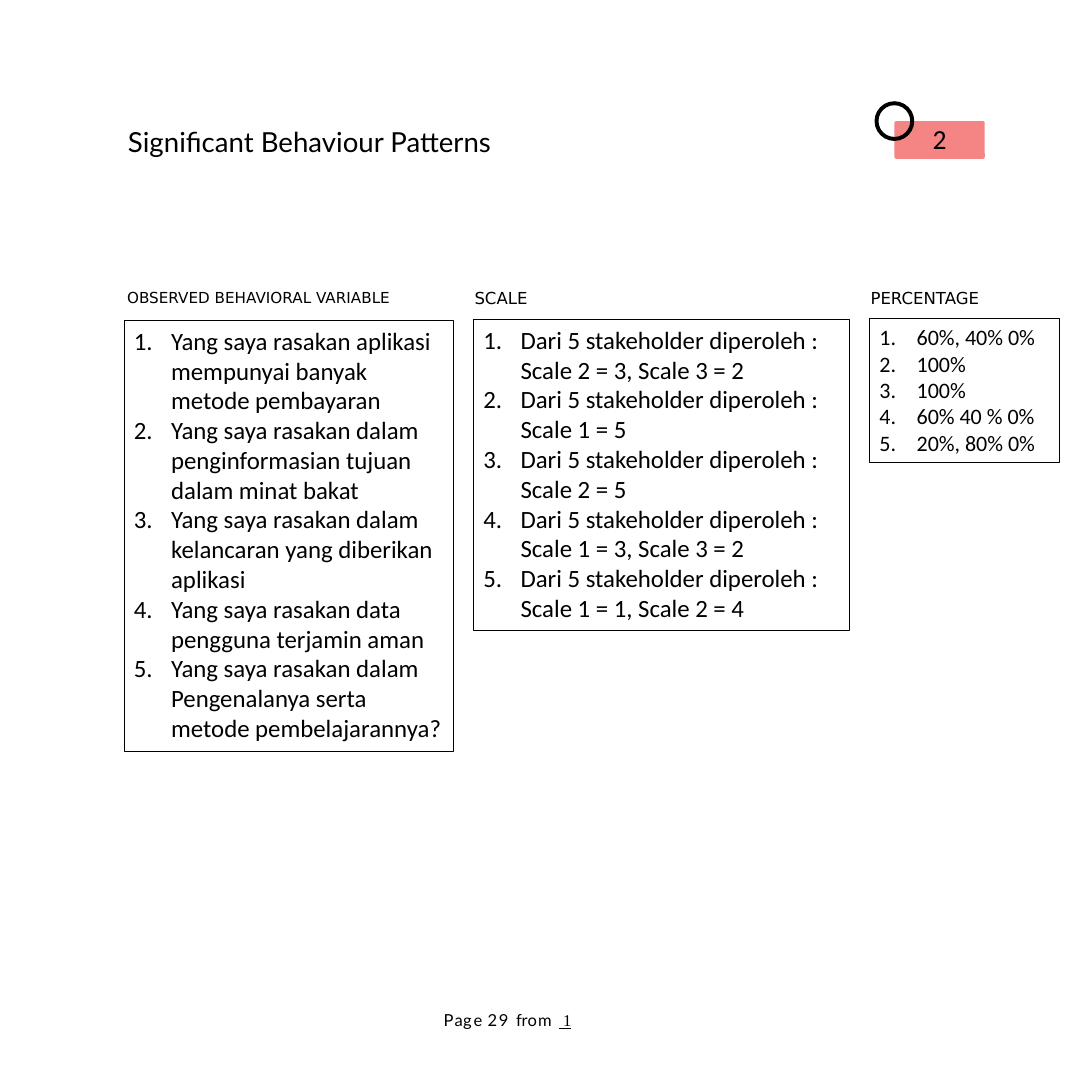
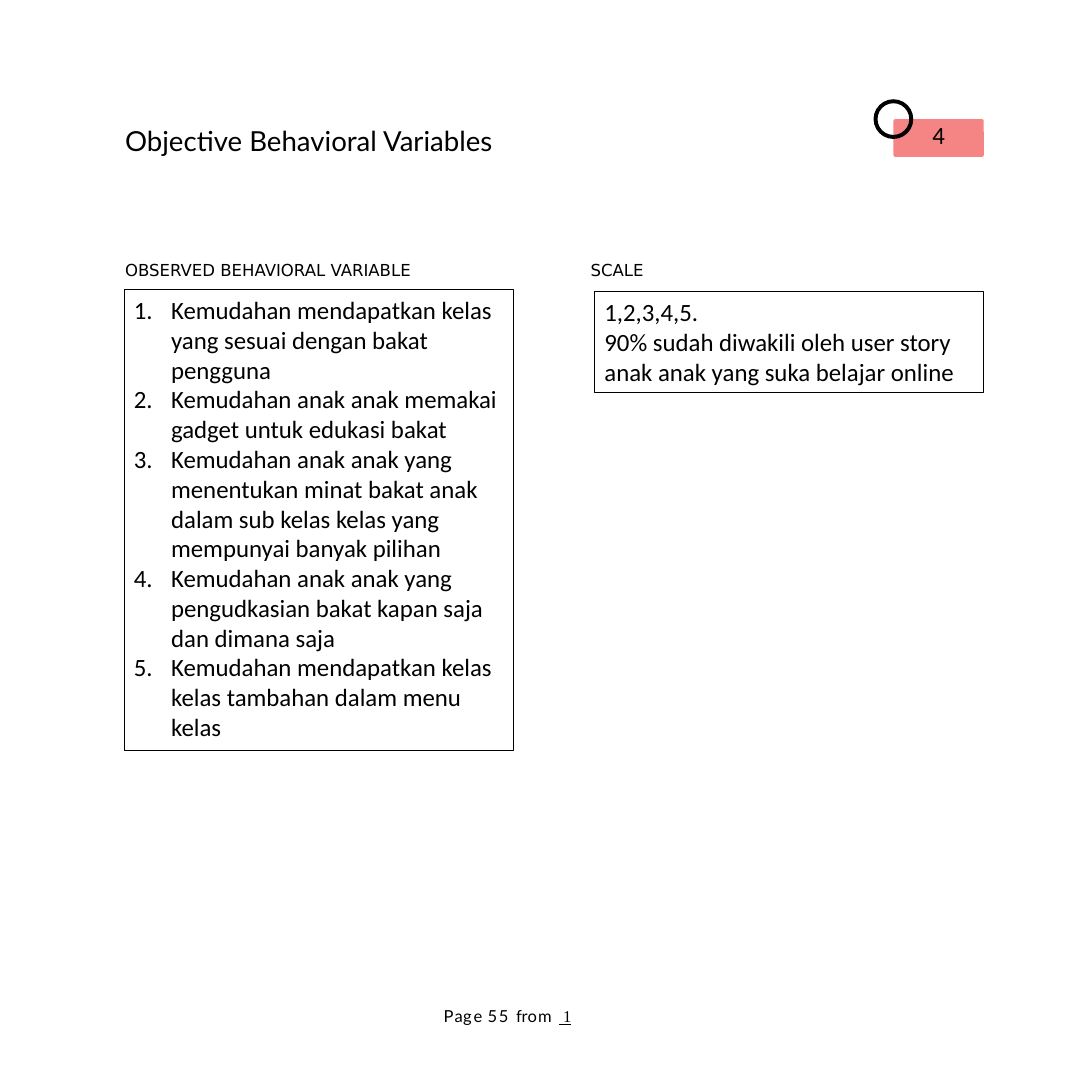
from dataclasses import dataclass
from typing import Any

from lxml.etree import SubElement
from pptx import Presentation
from pptx.dml.color import RGBColor
from pptx.enum.shapes import MSO_SHAPE as SHAPE
from pptx.enum.text import MSO_ANCHOR as ANCHOR, PP_ALIGN as ALIGN
from pptx.oxml.ns import qn
from pptx.util import Inches, Pt

BLACK = RGBColor(0x00, 0x00, 0x00)
CORAL = RGBColor(0xF5, 0x85, 0x85)

TITLE_FONT = "Lato"
LABEL_FONT = "DejaVu Sans"
BODY_FONT = "Calibri"
PAGE_FONT = "Times New Roman"
HANG = Inches(0.375)
RING_SIZE = 0.4


@dataclass(frozen=True)
class Box:
    left: float
    top: float
    width: float
    height: float

    def lengths(self) -> list[int]:
        return [Inches(v) for v in (self.left, self.top, self.width, self.height)]


@dataclass(frozen=True)
class Column:
    label: str
    label_box: Box
    box: Box
    items: tuple[str, ...]
    label_size: int = 12
    size: int = 18
    numbered: bool = True


@dataclass(frozen=True)
class Page:
    title: str
    title_box: Box
    badge: str
    badge_size: int
    badge_left: float
    badge_top: float
    columns: tuple[Column, ...]
    number: int
    footer_top: float


PAGES = (
    Page(
        "Significant Behaviour Patterns", Box(1.28, 1.24, 7.37, 0.35),
        "2", 20, 9.01, 1.22,
        (
            Column(
                "OBSERVED BEHAVIORAL VARIABLE",
                Box(1.27, 2.89, 2.82, 0.2), Box(1.25, 3.23, 3.32, 4.34),
                (
                    "Yang saya rasakan aplikasi mempunyai banyak metode pembayaran",
                    "Yang saya rasakan dalam penginformasian tujuan dalam minat bakat",
                    "Yang saya rasakan dalam kelancaran yang diberikan aplikasi",
                    "Yang saya rasakan data pengguna terjamin aman",
                    "Yang saya rasakan dalam Pengenalanya serta metode pembelajarannya?",
                ),
                label_size=11,
            ),
            Column(
                "SCALE",
                Box(4.77, 2.89, 0.58, 0.22), Box(4.77, 3.22, 3.79, 3.13),
                tuple(
                    f"Dari 5 stakeholder diperoleh : {score}"
                    for score in (
                        "Scale 2 = 3, Scale 3 = 2",
                        "Scale 1 = 5",
                        "Scale 2 = 5",
                        "Scale 1 = 3, Scale 3 = 2",
                        "Scale 1 = 1, Scale 2 = 4",
                    )
                ),
            ),
            Column(
                "PERCENTAGE",
                Box(8.76, 2.89, 1.2, 0.22), Box(8.76, 3.21, 1.91, 1.45),
                ("60%, 40% 0%", "100%", "100%", "60% 40 % 0%", "20%, 80% 0%"),
                size=16,
            ),
        ),
        29, 10.18,
    ),
    Page(
        "Objective Behavioral Variables", Box(1.25, 1.23, 4.62, 0.35),
        "4", 18, 9.0, 1.2,
        (
            Column(
                "OBSERVED BEHAVIORAL VARIABLE",
                Box(1.25, 2.61, 3.08, 0.22), Box(1.25, 2.92, 3.92, 4.64),
                (
                    "Kemudahan mendapatkan kelas yang sesuai dengan bakat pengguna",
                    "Kemudahan anak anak memakai gadget untuk edukasi bakat",
                    "Kemudahan anak anak yang menentukan minat bakat anak dalam "
                    "sub kelas kelas yang mempunyai banyak pilihan",
                    "Kemudahan anak anak yang pengudkasian bakat kapan saja "
                    "dan dimana saja",
                    "Kemudahan mendapatkan kelas kelas tambahan dalam menu kelas",
                ),
            ),
            Column(
                "SCALE",
                Box(5.94, 2.61, 0.58, 0.22), Box(5.99, 2.94, 3.92, 1.01),
                (
                    "1,2,3,4,5.",
                    "90% sudah diwakili oleh user story anak anak yang suka "
                    "belajar online",
                ),
                numbered=False,
            ),
        ),
        55, 10.14,
    ),
)


def apply(target: Any, formats: dict[str, Any]) -> None:
    for name, value in formats.items():
        setattr(target, name, value)


def add_run(p: Any, text: str, font: str, size: int) -> Any:
    r = p.add_run()
    r.text = text
    apply(r.font, {"name": font, "size": Pt(size)})
    r.font.color.rgb = BLACK
    return r


def set_frame(tf: Any, top: float = 0) -> None:
    apply(tf, {
        "word_wrap": True,
        "vertical_anchor": ANCHOR.TOP,
        "margin_left": 0,
        "margin_right": 0,
        "margin_bottom": 0,
        "margin_top": Inches(top),
    })


def add_text(s: Any, box: Box, top: float = 0) -> Any:
    tf = s.shapes.add_textbox(*box.lengths()).text_frame
    set_frame(tf, top)
    p = tf.paragraphs[0]
    p._p.get_or_add_pPr().set("marL", str(Inches(0.01)))
    return p


def add_badge(s: Any, page: Page) -> None:
    group = s.shapes.add_group_shape()
    tag_box = Box(page.badge_left, page.badge_top, 0.91, 0.38)
    tag = group.shapes.add_shape(SHAPE.ROUNDED_RECTANGLE, *tag_box.lengths())
    tag.adjustments[0] = 0.05
    half = RING_SIZE / 2
    ring_box = Box(page.badge_left - half, page.badge_top - half, RING_SIZE, RING_SIZE)
    ring = group.shapes.add_shape(SHAPE.DONUT, *ring_box.lengths())
    ring.adjustments[0] = 0.1
    for sp, color in ((tag, CORAL), (ring, BLACK)):
        sp.shadow.inherit = False
        sp.fill.solid()
        sp.fill.fore_color.rgb = color
        sp.line.fill.background()
    set_frame(tag.text_frame)
    p = tag.text_frame.paragraphs[0]
    p.alignment = ALIGN.CENTER
    add_run(p, page.badge, BODY_FONT, page.badge_size)


def add_column(s: Any, column: Column) -> None:
    label = add_text(s, column.label_box, 0.01)
    add_run(label, column.label, LABEL_FONT, column.label_size)
    sp = s.shapes.add_shape(SHAPE.RECTANGLE, *column.box.lengths())
    sp.shadow.inherit = False
    sp.fill.background()
    sp.line.color.rgb = BLACK
    sp.line.width = Pt(0.75)
    tf = sp.text_frame
    apply(tf, {"word_wrap": True, "vertical_anchor": ANCHOR.TOP})
    for i, item in enumerate(column.items):
        p = tf.add_paragraph() if i else tf.paragraphs[0]
        p.alignment = ALIGN.LEFT
        if column.numbered:
            pPr = p._p.get_or_add_pPr()
            pPr.set("marL", str(HANG))
            pPr.set("indent", str(-HANG))
            SubElement(pPr, qn("a:buFont"), typeface="+mj-lt")
            SubElement(pPr, qn("a:buAutoNum"), type="arabicPeriod")
        add_run(p, item, BODY_FONT, column.size)


def add_footer(s: Any, page: Page) -> None:
    p = add_text(s, Box(4.46, page.footer_top, 1.41, 0.2))
    tabs = SubElement(p._p.get_or_add_pPr(), qn("a:tabLst"))
    SubElement(tabs, qn("a:tab"), pos=str(Inches(1.35)), algn="l")
    p.line_spacing = Pt(14.1)
    spaced = (
        ("P", 70), ("a", 20), ("g", 140), ("e ", 40),
        (f"{page.number} ", 120), ("fr", -10), ("o", 70), ("m ", 110),
    )
    for text, spacing in spaced:
        r = add_run(p, text, TITLE_FONT, 12)
        r._r.get_or_add_rPr().set("spc", str(spacing))
    add_run(p, " 1\t", PAGE_FONT, 12).font.underline = True


def add_page(prs: Any, page: Page) -> None:
    s = prs.slides.add_slide(prs.slide_layouts[6])
    add_run(add_text(s, page.title_box, 0.02), page.title, TITLE_FONT, 20)
    add_badge(s, page)
    for column in page.columns:
        add_column(s, column)
    add_footer(s, page)


def main() -> None:
    prs = Presentation()
    apply(prs, {"slide_width": Inches(11), "slide_height": Inches(11)})
    for page in PAGES:
        add_page(prs, page)
    prs.save("out.pptx")


if __name__ == "__main__":
    main()
